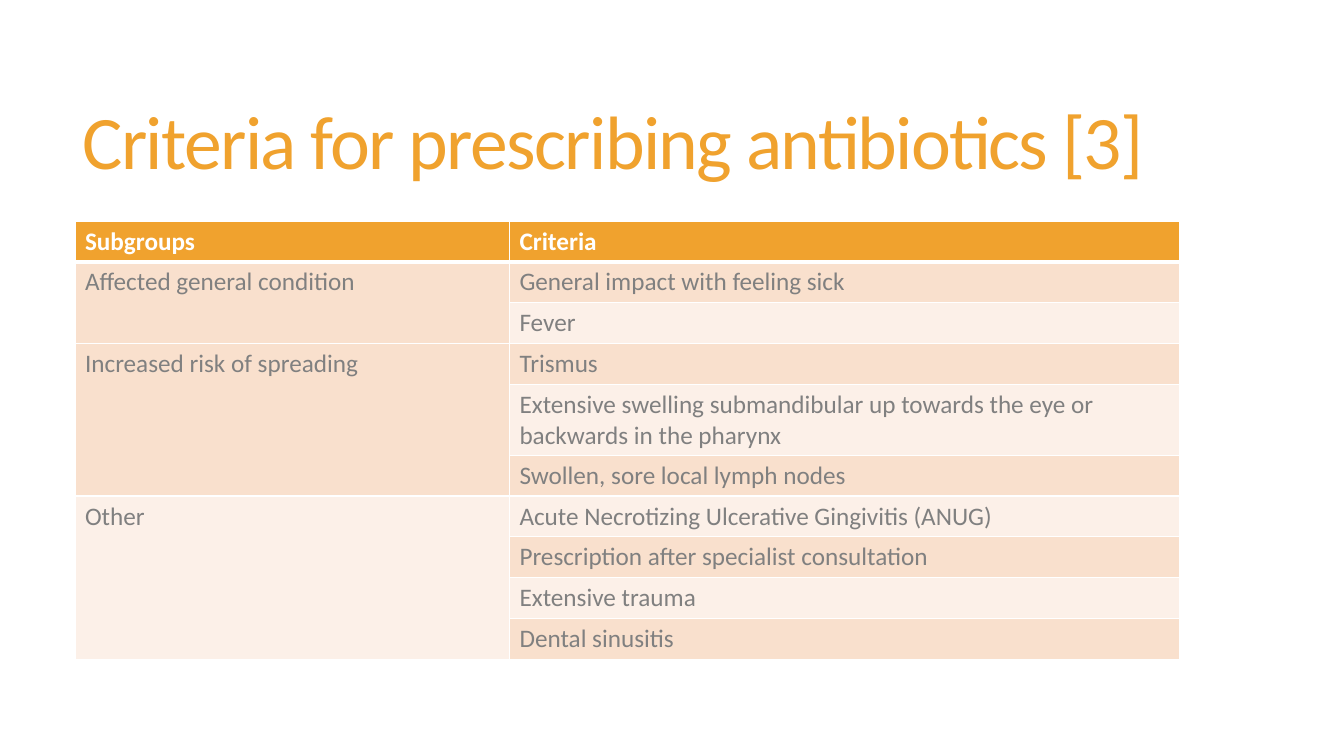
import pptx
import pptx.dml.color
import pptx.enum.text
import pptx.oxml
import pptx.oxml.ns
import pptx.util

Cm = pptx.util.Cm
Pt = pptx.util.Pt

FONT = "Calibri"
ORANGE = "F0A22E"
GREY = "808080"
WHITE = "FFFFFF"
BANDS = ["FCF0E8", "F9E0CD"]
HEADINGS = ["Subgroups", "Criteria"]
SUBGROUPS = [
    ("Affected general condition", ["General impact with feeling sick", "Fever"]),
    ("Increased risk of spreading", [
        "Trismus",
        "Extensive swelling submandibular up towards the eye or backwards in the pharynx",
        "Swollen, sore local lymph nodes",
    ]),
    ("Other", [
        "Acute Necrotizing Ulcerative Gingivitis (ANUG)",
        "Prescription after specialist consultation",
        "Extensive trauma",
        "Dental sinusitis",
    ]),
]


def rgb(value):
    return pptx.dml.color.RGBColor.from_string(value)


def style_paragraph(p, size, color, bold=False):
    p.font.name = FONT
    p.font.size = Pt(size)
    p.font.bold = bold
    p.font.color.rgb = rgb(color)


def add_title(slide, left, top, width, height, text):
    tf = slide.shapes.add_textbox(left, top, width, height).text_frame
    tf.word_wrap = True
    tf.vertical_anchor = pptx.enum.text.MSO_ANCHOR.MIDDLE
    p = tf.paragraphs[0]
    p.line_spacing = 0.85
    r = p.add_run()
    r.text = text
    style_paragraph(p, 54, ORANGE)
    r.font._element.set("spc", "-120")


def set_borders(cell, widths):
    tc_pr = cell._tc.get_or_add_tcPr()
    for i, (side, width) in enumerate(widths.items()):
        tc_pr.insert(i, pptx.oxml.parse_xml(
            f'<a:ln{side} {pptx.oxml.ns.nsdecls("a")} w="{Pt(width)}">'
            f'<a:solidFill><a:srgbClr val="{WHITE}"/></a:solidFill></a:ln{side}>'))


def style_cell(cell, row):
    header = row == 0
    cell.fill.solid()
    cell.fill.fore_color.rgb = rgb(ORANGE if header else BANDS[row % 2])
    style_paragraph(cell.text_frame.paragraphs[0], 18, WHITE if header else GREY, header)
    set_borders(cell, {"L": 1, "R": 1, "T": 3 if row == 1 else 1, "B": 3 if header else 1})


def add_criteria_table(slide, left, top, width, row_height):
    rows = 1 + sum(len(criteria) for _, criteria in SUBGROUPS)
    table = slide.shapes.add_table(rows, 2, left, top, width, row_height * rows).table
    table.columns[0].width = Cm(10.95)
    table.columns[1].width = width - Cm(10.95)
    for col, heading in enumerate(HEADINGS):
        table.cell(0, col).text = heading
    first = 1
    for subgroup, criteria in SUBGROUPS:
        table.cell(first, 0).text = subgroup
        for row, criterion in enumerate(criteria, first):
            table.cell(row, 1).text = criterion
        table.cell(first, 0).merge(table.cell(first + len(criteria) - 1, 0))
        first += len(criteria)
    for row in range(rows):
        table.rows[row].height = row_height
        for col in range(2):
            style_cell(table.cell(row, col), row)


def main():
    prs = pptx.Presentation()
    prs.slide_width = Cm(33.87)
    prs.slide_height = Cm(19.05)
    slide = prs.slides.add_slide(prs.slide_layouts[6])
    add_title(slide, Cm(1.83), Cm(1.4), Cm(29.92), Cm(4.6),
              "Criteria for prescribing antibiotics [3]")
    add_criteria_table(slide, Cm(1.89), Cm(5.57), Cm(27.84), Cm(1.03))
    prs.save("out.pptx")


if __name__ == "__main__":
    main()
